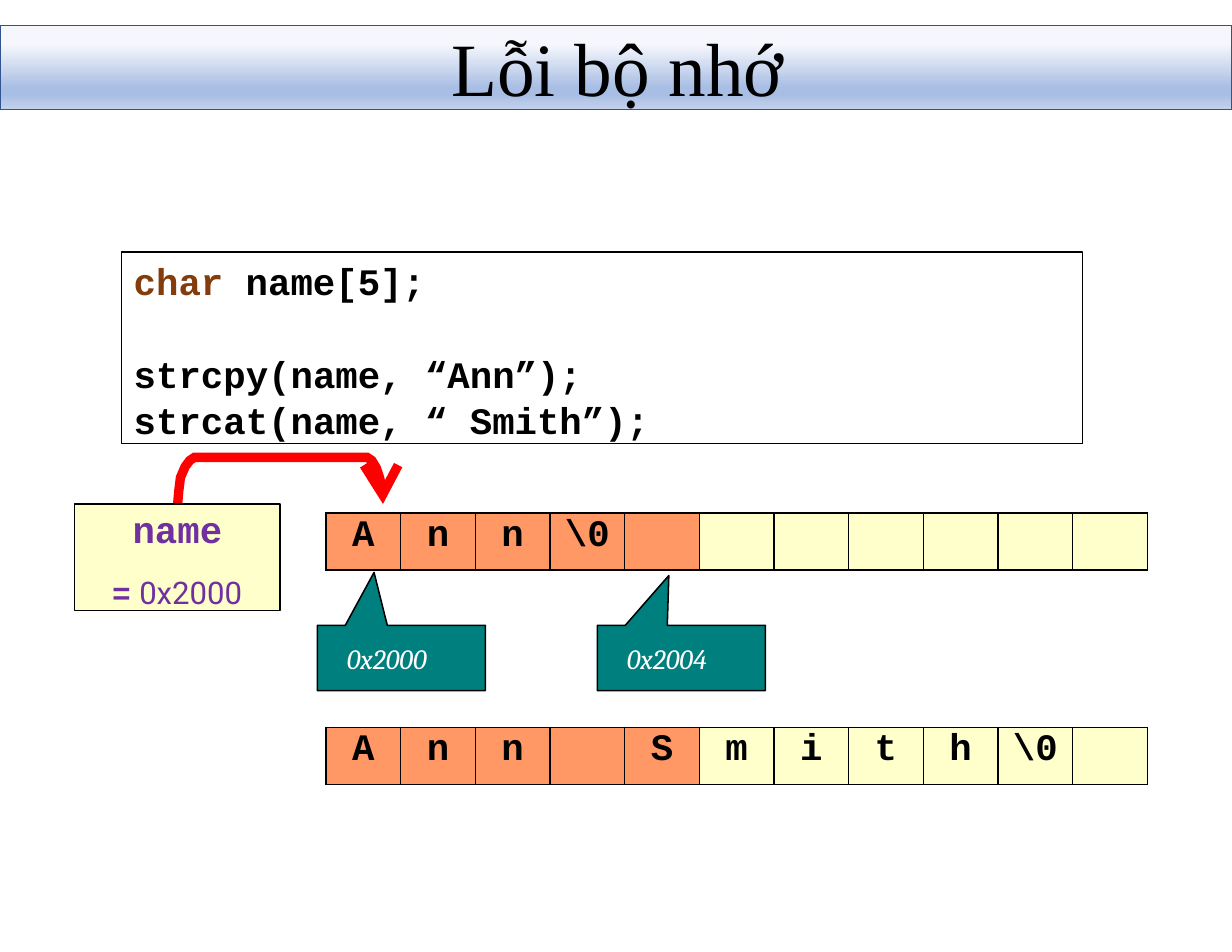
from lxml.etree import SubElement
from pptx import Presentation
from pptx.dml.color import RGBColor
from pptx.enum.shapes import MSO_SHAPE
from pptx.enum.text import MSO_ANCHOR, PP_ALIGN
from pptx.oxml.ns import qn
from pptx.util import Pt

COLORS = {
    "black": "000000", "white": "FFFFFF", "keyword": "833C0B",
    "used": "FF9865", "free": "FFFFCC", "callout": "007F7F",
    "arrow": "FF0000", "pointer": "7030A0", "banner_line": "31538F",
}
BANNER_STOPS = [(0, "F5F7FC"), (22, "F5F7FC"), (74, "A9BEE4"),
                (83, "A9BEE4"), (100, "C5D3ED")]
CODE_FONT = "Courier New"
ARRAY_SIZE = 5
CELL_WIDTH, CELL_HEIGHT = 48, 36.7


def rgb(name):
    return RGBColor.from_string(COLORS[name])


class SlideBuilder:
    def __init__(self, prs):
        self.s = prs.slides.add_slide(prs.slide_layouts[5])

    def font(self, item, size, name, color, bold=False, italic=False):
        """Format a paragraph or a run."""
        f = item.font
        f.size, f.name, f.bold, f.italic = Pt(size), name, bold, italic
        f.color.rgb = rgb(color)

    def frame(self, tf, left=0, top=0, anchor=MSO_ANCHOR.TOP):
        tf.word_wrap = True
        tf.margin_left, tf.margin_top = Pt(left), Pt(top)
        tf.margin_right = tf.margin_bottom = 0
        tf.vertical_anchor = anchor

    def paragraph(self, tf, runs, first=False, align=PP_ALIGN.LEFT, before=0):
        p = tf.paragraphs[0] if first else tf.add_paragraph()
        p.alignment, p.space_before = align, Pt(before)
        for text in runs:
            p.add_run().text = text
        return p

    def title(self, text, x, y, w, h):
        sp = self.s.shapes.title
        sp.left, sp.top, sp.width, sp.height = Pt(x), Pt(y), Pt(w), Pt(h)
        self.frame(sp.text_frame, 0.7, 0.7, MSO_ANCHOR.MIDDLE)
        p = self.paragraph(sp.text_frame, [text], first=True)
        self.font(p, 48.4, "Times New Roman", "black")

    def box(self, x, y, w, h, fill=None, line="black", kind=MSO_SHAPE.RECTANGLE):
        sp = self.s.shapes.add_shape(kind, Pt(x), Pt(y), Pt(w), Pt(h))
        sp.shadow.inherit = False
        if fill:
            sp.fill.solid()
            sp.fill.fore_color.rgb = rgb(fill)
        else:
            sp.fill.background()
        sp.line.color.rgb = rgb(line)
        sp.line.width = Pt(1)
        return sp

    def banner(self, x, y, w, h):
        """Gradient bar behind the title."""
        sp = self.box(x, y, w, h, line="banner_line")
        sp.fill.gradient()
        sp.fill.gradient_angle = 270
        stops = sp._element.spPr.find(qn("a:gradFill")).find(qn("a:gsLst"))
        for gs in list(stops):
            stops.remove(gs)
        for percent, color in BANNER_STOPS:
            gs = SubElement(stops, qn("a:gs"), pos=str(percent * 1000))
            SubElement(gs, qn("a:srgbClr"), val=color)
        self.s.shapes.title._element.addprevious(sp._element)

    def callout(self, text, x, y, w, h, tip):
        sp = self.box(x, y, w, h, "callout", kind=MSO_SHAPE.RECTANGULAR_CALLOUT)
        sp.adjustments[0] = (tip[0] - x - w / 2) / w
        sp.adjustments[1] = (tip[1] - y - h / 2) / h
        self.frame(sp.text_frame, 19, 0, MSO_ANCHOR.MIDDLE)
        p = self.paragraph(sp.text_frame, [text], first=True)
        self.font(p, 18, "Cambria", "white", italic=True)

    def stroke(self, points, width):
        """Thick open line through the points."""
        fb = self.s.shapes.build_freeform(*points[0], scale=Pt(1))
        fb.add_line_segments(points[1:], close=False)
        sp = fb.convert_to_shape()
        sp.shadow.inherit = False
        sp.fill.background()
        sp.line.color.rgb = rgb("arrow")
        sp.line.width = Pt(width)
        SubElement(sp.line._get_or_add_ln(), qn("a:miter"), lim="800000")

    def borders(self, cell):
        tcPr = cell._tc.get_or_add_tcPr()
        for side in ("lnL", "lnR", "lnT", "lnB"):
            ln = SubElement(tcPr, qn("a:" + side), w=str(Pt(1)))
            fill = SubElement(ln, qn("a:solidFill"))
            SubElement(fill, qn("a:srgbClr"), val=COLORS["black"])

    def memory(self, contents, x, y):
        """One row of memory cells, the array's own cells highlighted."""
        n = len(contents)
        table = self.s.shapes.add_table(
            1, n, Pt(x), Pt(y), Pt(n * CELL_WIDTH), Pt(CELL_HEIGHT)).table
        for i, text in enumerate(contents):
            table.columns[i].width = Pt(CELL_WIDTH)
            cell = table.cell(0, i)
            cell.margin_left = cell.margin_right = cell.margin_bottom = 0
            cell.margin_top = Pt(1.4)
            self.borders(cell)
            cell.fill.solid()
            cell.fill.fore_color.rgb = rgb("used" if i < ARRAY_SIZE else "free")
            if text:
                cell.text = text
                p = cell.text_frame.paragraphs[0]
                p.alignment = PP_ALIGN.CENTER
                self.font(p, 24, CODE_FONT, "black", bold=True)

    def code(self, x, y, w, h):
        tf = self.box(x, y, w, h).text_frame
        self.frame(tf, 8, 4)
        p = self.paragraph(tf, ["char", " name[5];"], first=True)
        for r, color in zip(p.runs, ("keyword", "black")):
            self.font(r, 24, CODE_FONT, color, bold=True)
        for text, before in (("strcpy(name, “Ann”);", 31),
                             ("strcat(name, “ Smith”);", 1)):
            p = self.paragraph(tf, [text], before=before)
            self.font(p, 24, CODE_FONT, "black", bold=True)

    def pointer(self, x, y, w, h):
        tf = self.box(x, y, w, h, "free").text_frame
        self.frame(tf, 0, 1.4)
        p = self.paragraph(tf, ["name"], first=True, align=PP_ALIGN.CENTER)
        self.font(p, 24, CODE_FONT, "pointer", bold=True)
        p = self.paragraph(tf, ["= ", "0x2000"], align=PP_ALIGN.CENTER, before=14.3)
        equals, address = p.runs
        self.font(equals, 20, "Arial", "pointer", bold=True)
        self.font(address, 20, "Roboto", "pointer")


def main():
    prs = Presentation()
    prs.slide_width, prs.slide_height = Pt(792), Pt(612)
    b = SlideBuilder(prs)

    b.title("Lỗi bộ nhớ", 289.4, 12.2, 256.3, 59.8)
    b.banner(0, 16.5, 792, 54)
    b.code(78, 162, 618, 123)

    b.memory(["A", "n", "n", "\\0"] + [""] * 7, 209.6, 329.8)
    b.callout("0x2000", 204, 402, 108, 42, tip=(240.5, 368))
    b.callout("0x2004", 384, 402, 108, 42, tip=(430, 370))
    b.memory(["A", "n", "n", "", "S", "m", "i", "t", "h", "\\0", ""], 209.6, 467.5)

    b.stroke([(114.5, 326), (115, 315), (116.5, 307), (119, 300), (121.5, 296),
              (125, 293.8), (235.5, 293.8), (239, 296), (242.5, 301),
              (244.5, 307), (246, 316)], 6)
    b.stroke([(234, 299), (246, 318), (256, 299)], 6)
    b.pointer(48, 324, 132, 68.5)

    prs.save("out.pptx")


if __name__ == "__main__":
    main()
